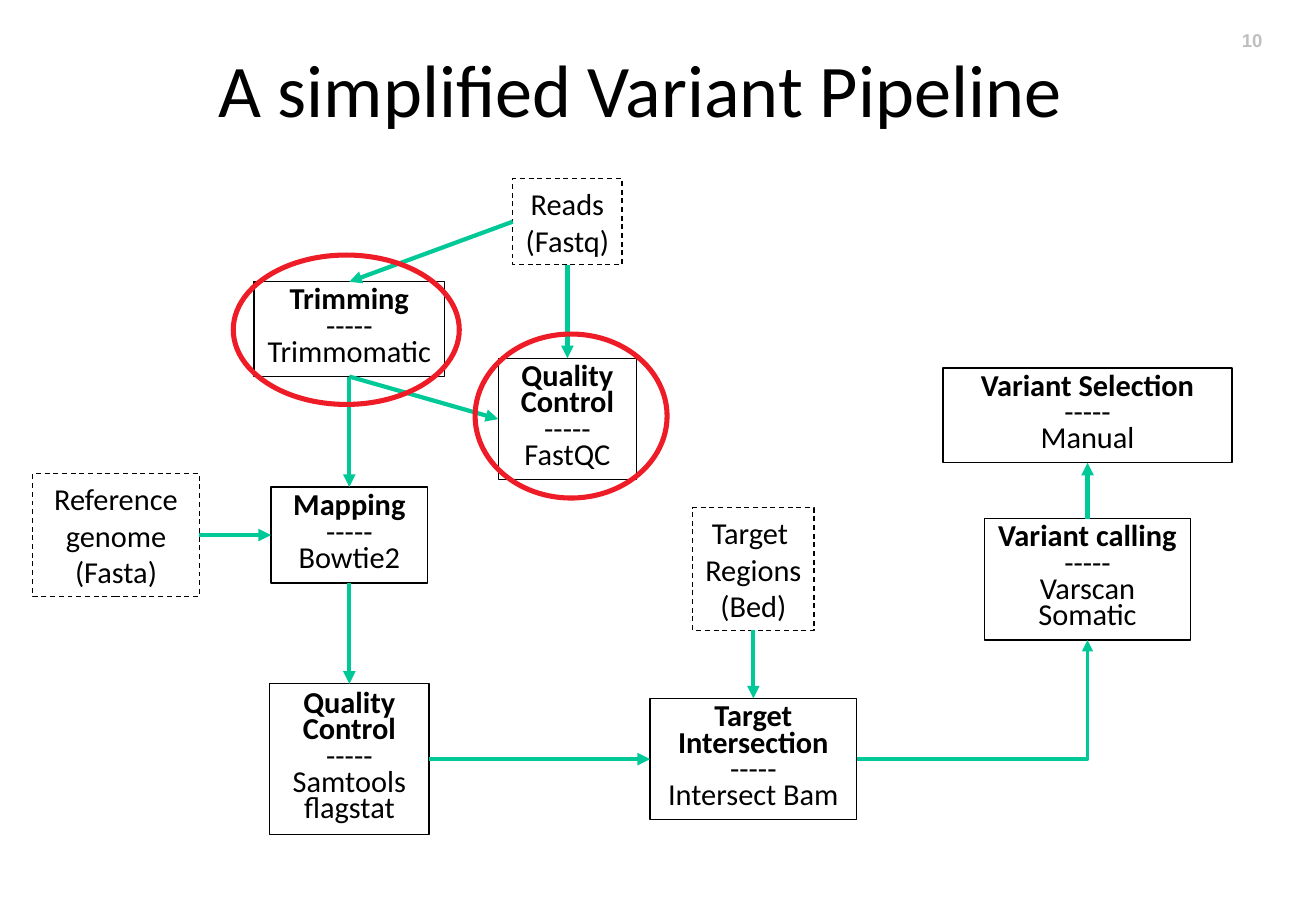
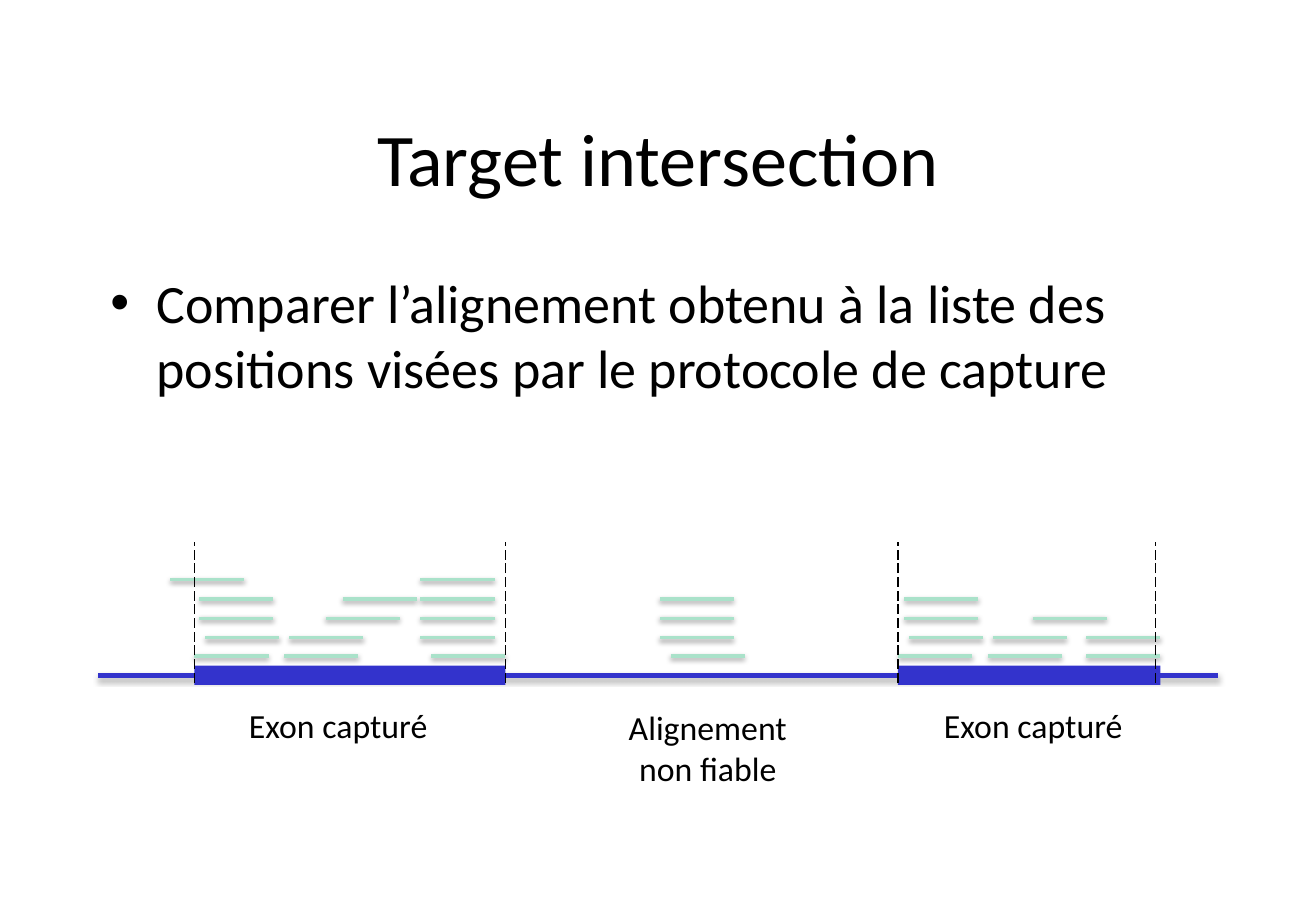
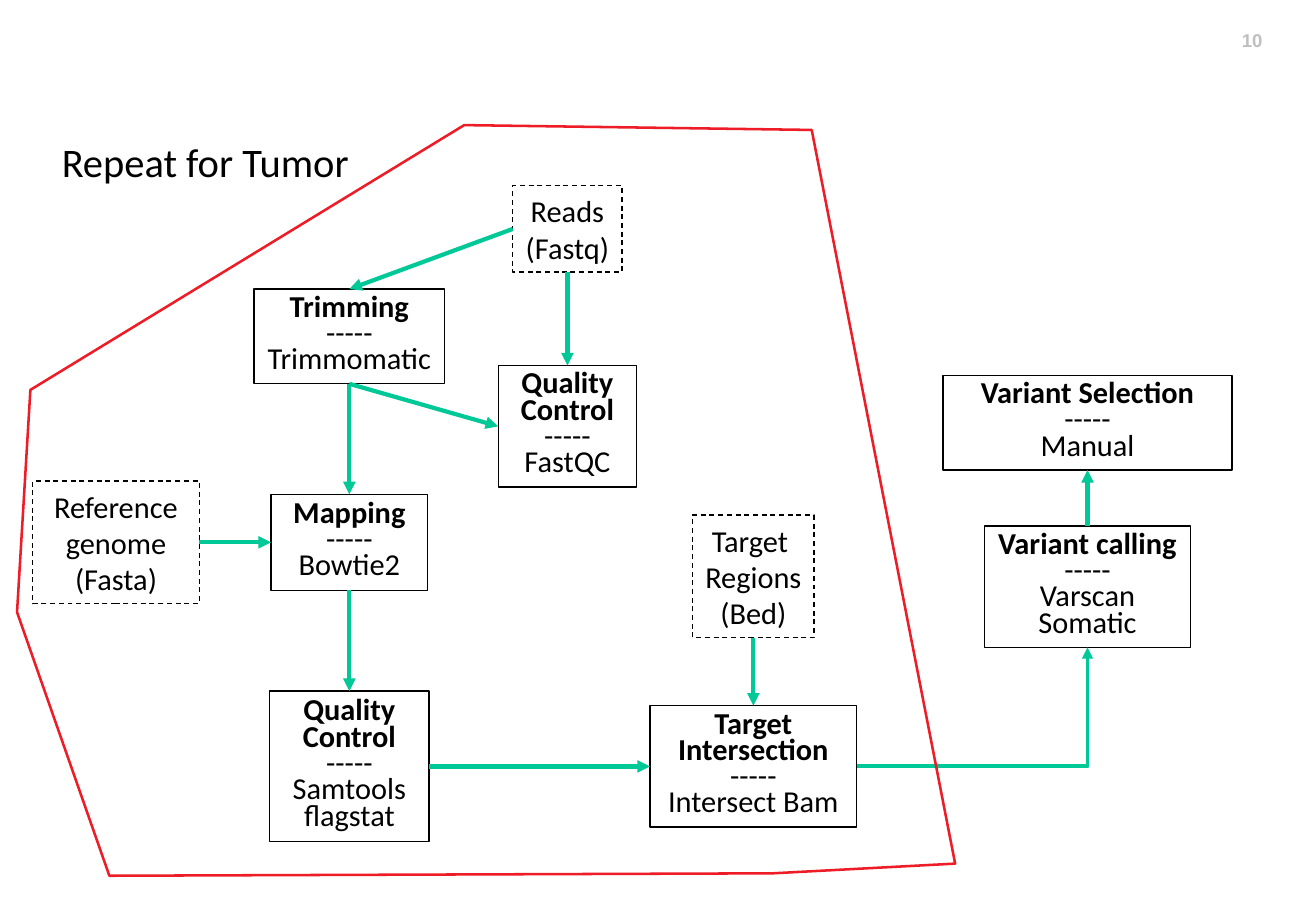
import dataclasses
import enum
import typing

import lxml.etree
import pptx
import pptx.dml.color
import pptx.enum.dml
import pptx.enum.shapes
import pptx.enum.text
import pptx.oxml
import pptx.oxml.ns
import pptx.util

EMU_PER_PX = 9144
COLORS = {
    "ink": "000000",
    "page_number": "BFBFBF",
    "arrow": "00C896",
    "highlight": "EE1C26",
    "genome": "3333CC",
    "read": "AAE2CA",
}
ALIGN = pptx.enum.text.PP_ALIGN
ANCHOR = pptx.enum.text.MSO_ANCHOR
FIT = pptx.enum.text.MSO_AUTO_SIZE
DASH = pptx.enum.dml.MSO_LINE
SHAPE = pptx.enum.shapes.MSO_SHAPE
CONNECTOR = pptx.enum.shapes.MSO_CONNECTOR
REPEAT_SHIFT = 6


class Side(enum.IntEnum):
    TOP = 0
    LEFT = 1
    BOTTOM = 2
    RIGHT = 3


class Area(typing.NamedTuple):
    left: int
    top: int
    width: int
    height: int


@dataclasses.dataclass(frozen=True)
class Step:
    area: Area
    heading: tuple[str, ...]
    tool: tuple[str, ...]


@dataclasses.dataclass(frozen=True)
class DataInput:
    area: Area
    lines: tuple[str, ...]
    wrap: bool = False


@dataclasses.dataclass(frozen=True)
class Flow:
    source: str
    exit: Side
    target: str
    entry: Side
    bent: bool = False


@dataclasses.dataclass(frozen=True)
class Shadow:
    opacity: int
    distance: float


STEPS = {
    "fastqc": Step(Area(410, 295, 114, 100), ("Quality", "Control"), ("FastQC",)),
    "mapping": Step(Area(223, 401, 129, 79), ("Mapping",), ("Bowtie2",)),
    "intersection": Step(Area(535, 575, 170, 100), ("Target", "Intersection"), ("Intersect Bam",)),
    "calling": Step(Area(810, 427, 170, 100), ("Variant calling",), ("Varscan", "Somatic")),
    "selection": Step(Area(776, 303, 238, 78), ("Variant Selection",), ("Manual",)),
    "trimming": Step(Area(209, 232, 157, 78), ("Trimming",), ("Trimmomatic",)),
    "flagstat": Step(Area(222, 563, 131, 124), ("Quality Control",), ("Samtools flagstat",)),
}
INPUTS = {
    "reads": DataInput(Area(422, 147, 90, 71), ("Reads", "(Fastq)")),
    "regions": DataInput(Area(570, 418, 100, 101), ("Target ", "Regions", "(Bed)")),
    "genome": DataInput(Area(27, 390, 137, 101), ("Reference genome", "(Fasta)"), wrap=True),
}
FLOWS = (
    Flow("genome", Side.RIGHT, "mapping", Side.LEFT),
    Flow("reads", Side.LEFT, "trimming", Side.TOP),
    Flow("reads", Side.BOTTOM, "fastqc", Side.TOP),
    Flow("regions", Side.BOTTOM, "intersection", Side.TOP),
    Flow("mapping", Side.BOTTOM, "flagstat", Side.TOP),
    Flow("calling", Side.TOP, "selection", Side.BOTTOM),
    Flow("trimming", Side.BOTTOM, "mapping", Side.TOP),
    Flow("trimming", Side.BOTTOM, "fastqc", Side.LEFT),
    Flow("intersection", Side.RIGHT, "calling", Side.BOTTOM, bent=True),
    Flow("flagstat", Side.RIGHT, "intersection", Side.LEFT),
)
HIGHLIGHTS = (Area(391, 275, 158, 135), Area(192, 210, 186, 123))
REPEATED_PART = (
    (382, 103), (668, 107), (786, 711), (636, 719), (90, 721), (14, 504), (25, 321),
)

READ_LENGTH = 61
READ_STARTS = {
    540: (160, 234, 355, 552, 739, 813, 894),
    525: (169, 238, 346, 543, 748, 817, 894),
    509: (164, 268, 346, 543, 744, 850),
    493: (164, 282, 346, 543, 744),
    477: (140, 346),
}
READ_SHADOW = Shadow(38, 1.6)
GENOME_SHADOW = Shadow(35, 1.8)
EXONS = (Area(160, 548, 256, 16), Area(739, 548, 216, 16))
BOUNDARIES = (160, 416, 739, 951)


def px(length: int) -> pptx.util.Emu:
    return pptx.util.Emu(length * EMU_PER_PX)


def emu(area: Area) -> list[pptx.util.Emu]:
    return [px(length) for length in area]


def rgb(color: str) -> pptx.dml.color.RGBColor:
    return pptx.dml.color.RGBColor.from_string(COLORS[color])


def write(frame, lines: typing.Sequence[str], *, size: float = 18, font: str = "Calibri",
          color: str = "ink", bold_lines: int = 0, align=None, anchor=None,
          line_spacing: float | None = None, wrap: bool = True, fit=FIT.SHAPE_TO_FIT_TEXT,
          margin: int | None = None, bullet_indent: int = 0) -> None:
    frame.word_wrap = wrap
    frame.auto_size = fit
    if anchor is not None:
        frame.vertical_anchor = anchor
    if margin is not None:
        frame.margin_left = frame.margin_right = px(margin)
        frame.margin_top = frame.margin_bottom = px(margin)
    for index, line in enumerate(lines):
        paragraph = frame.paragraphs[0] if index == 0 else frame.add_paragraph()
        paragraph.alignment = align
        if line_spacing is not None:
            paragraph.line_spacing = pptx.util.Pt(line_spacing)
        if bullet_indent:
            properties = paragraph._p.get_or_add_pPr()
            properties.set("marL", str(px(bullet_indent)))
            properties.set("indent", str(px(-bullet_indent)))
            bullet_font = lxml.etree.SubElement(properties, pptx.oxml.ns.qn("a:buFont"))
            bullet_font.set("typeface", "Arial")
            bullet = lxml.etree.SubElement(properties, pptx.oxml.ns.qn("a:buChar"))
            bullet.set("char", "•")
        run = paragraph.add_run()
        run.text = line
        run.font.size = pptx.util.Pt(size)
        run.font.name = font
        run.font.bold = index < bold_lines
        run.font.color.rgb = rgb(color)


def add_text(slide, area: Area, lines: typing.Sequence[str], **text_format) -> None:
    write(slide.shapes.add_textbox(*emu(area)).text_frame, lines, **text_format)


def set_title(slide, area: Area, text: str) -> None:
    title = slide.shapes.title
    title.left, title.top, title.width, title.height = emu(area)
    write(title.text_frame, [text], size=44, align=ALIGN.CENTER, anchor=ANCHOR.MIDDLE,
          fit=FIT.NONE)


def add_page_number(slide) -> None:
    add_text(slide, Area(1022, 24, 24, 19), ["10"], size=11, font="Arial",
             color="page_number", bold_lines=1, wrap=True, fit=FIT.NONE, margin=0)


def set_outline(shape, color: str, width: float, dash=None) -> None:
    shape.shadow.inherit = False
    shape.fill.background()
    shape.line.color.rgb = rgb(color)
    shape.line.width = pptx.util.Pt(width)
    if dash is not None:
        shape.line.dash_style = dash


def add_line(slide, start: tuple[int, int], end: tuple[int, int], *, color: str, width: float,
             dash=None, arrow: bool = False, shadow: Shadow | None = None,
             kind=CONNECTOR.STRAIGHT):
    line = slide.shapes.add_connector(kind, px(start[0]), px(start[1]), px(end[0]), px(end[1]))
    line.line.color.rgb = rgb(color)
    line.line.width = pptx.util.Pt(width)
    if dash is not None:
        line.line.dash_style = dash
    if arrow:
        head = lxml.etree.SubElement(line.line._get_or_add_ln(), pptx.oxml.ns.qn("a:tailEnd"))
        head.set("type", "triangle")
    namespace = pptx.oxml.ns.nsdecls("a")
    cast = ""
    if shadow is not None:
        cast = (
            f'<a:outerShdw blurRad="{pptx.util.Pt(3.1)}" dist="{pptx.util.Pt(shadow.distance)}"'
            ' dir="5400000" rotWithShape="0">'
            f'<a:srgbClr val="{COLORS["ink"]}"><a:alpha val="{shadow.opacity * 1000}"/>'
            "</a:srgbClr></a:outerShdw>"
        )
    effects = pptx.oxml.parse_xml(f"<a:effectLst {namespace}>{cast}</a:effectLst>")
    line._element.spPr.append(effects)
    return line


def add_box(slide, area: Area, shift: int, lines: typing.Sequence[str], dash=None,
            **text_format):
    box = slide.shapes.add_shape(SHAPE.RECTANGLE, *emu(area._replace(top=area.top + shift)))
    set_outline(box, "ink", 0.75, dash)
    write(box.text_frame, lines, align=ALIGN.CENTER, anchor=ANCHOR.MIDDLE, **text_format)
    return box


def add_flow(slide, boxes: dict, flow: Flow) -> None:
    kind = CONNECTOR.ELBOW if flow.bent else CONNECTOR.STRAIGHT
    arrow = add_line(slide, (0, 0), (0, 0), color="arrow", width=2.25 if flow.bent else 2.5,
                     arrow=True, kind=kind)
    arrow.begin_connect(boxes[flow.source], int(flow.exit))
    arrow.end_connect(boxes[flow.target], int(flow.entry))
    if flow.bent:
        arrow._element.spPr.find(pptx.oxml.ns.qn("a:prstGeom")).set("prst", "bentConnector2")


def add_pipeline(slide, shift: int = 0) -> None:
    add_page_number(slide)
    boxes = {}
    for key, data in INPUTS.items():
        boxes[key] = add_box(slide, data.area, shift, data.lines, dash=DASH.DASH, wrap=data.wrap)
    for key, step in STEPS.items():
        boxes[key] = add_box(slide, step.area, shift, (*step.heading, "-----", *step.tool),
                             bold_lines=len(step.heading), line_spacing=15.6)
    for flow in FLOWS:
        add_flow(slide, boxes, flow)


def build_pipeline_slide(deck) -> None:
    slide = deck.slides.add_slide(deck.slide_layouts[5])
    set_title(slide, Area(96, 0, 862, 145), "A simplified Variant Pipeline")
    add_pipeline(slide)
    for area in HIGHLIGHTS:
        set_outline(slide.shapes.add_shape(SHAPE.OVAL, *emu(area)), "highlight", 3)


def build_intersection_slide(deck) -> None:
    slide = deck.slides.add_slide(deck.slide_layouts[5])
    set_title(slide, Area(81, 67, 921, 125), "Target intersection")
    add_text(slide, Area(81, 217, 921, 150),
             ["Comparer l’alignement obtenu à la liste des positions visées par le protocole de capture"],
             size=32, fit=FIT.NONE, bullet_indent=38)
    add_line(slide, (81, 556), (1002, 556), color="genome", width=3, shadow=GENOME_SHADOW)
    for level, starts in READ_STARTS.items():
        for start in starts:
            add_line(slide, (start, level), (start + READ_LENGTH, level), color="read", width=2,
                     shadow=READ_SHADOW)
    for area in EXONS:
        exon = slide.shapes.add_shape(SHAPE.RECTANGLE, *emu(area))
        exon.shadow.inherit = False
        exon.fill.solid()
        exon.fill.fore_color.rgb = rgb("genome")
        exon.line.fill.background()
    for boundary in BOUNDARIES:
        add_line(slide, (boundary, 562), (boundary, 446), color="ink", width=0.75,
                 dash=DASH.LONG_DASH)
    for left in (195, 767):
        add_text(slide, Area(left, 575, 168, 44), ["Exon capturé"], size=20, wrap=False)
    add_text(slide, Area(498, 577, 169, 77), ["Alignement non fiable"], size=20,
             align=ALIGN.CENTER)


def build_tumor_slide(deck) -> None:
    slide = deck.slides.add_slide(deck.slide_layouts[6])
    add_pipeline(slide, REPEAT_SHIFT)
    outline = slide.shapes.build_freeform(*REPEATED_PART[0], scale=EMU_PER_PX)
    outline.add_line_segments(REPEATED_PART[1:], close=True)
    set_outline(outline.convert_to_shape(), "highlight", 1.5)
    add_text(slide, Area(41, 108, 259, 50), ["Repeat for Tumor"], size=24, wrap=False)


def main() -> None:
    deck = pptx.Presentation()
    deck.slide_width, deck.slide_height = px(1083), px(750)
    build_pipeline_slide(deck)
    build_intersection_slide(deck)
    build_tumor_slide(deck)
    deck.save("out.pptx")


if __name__ == "__main__":
    main()
